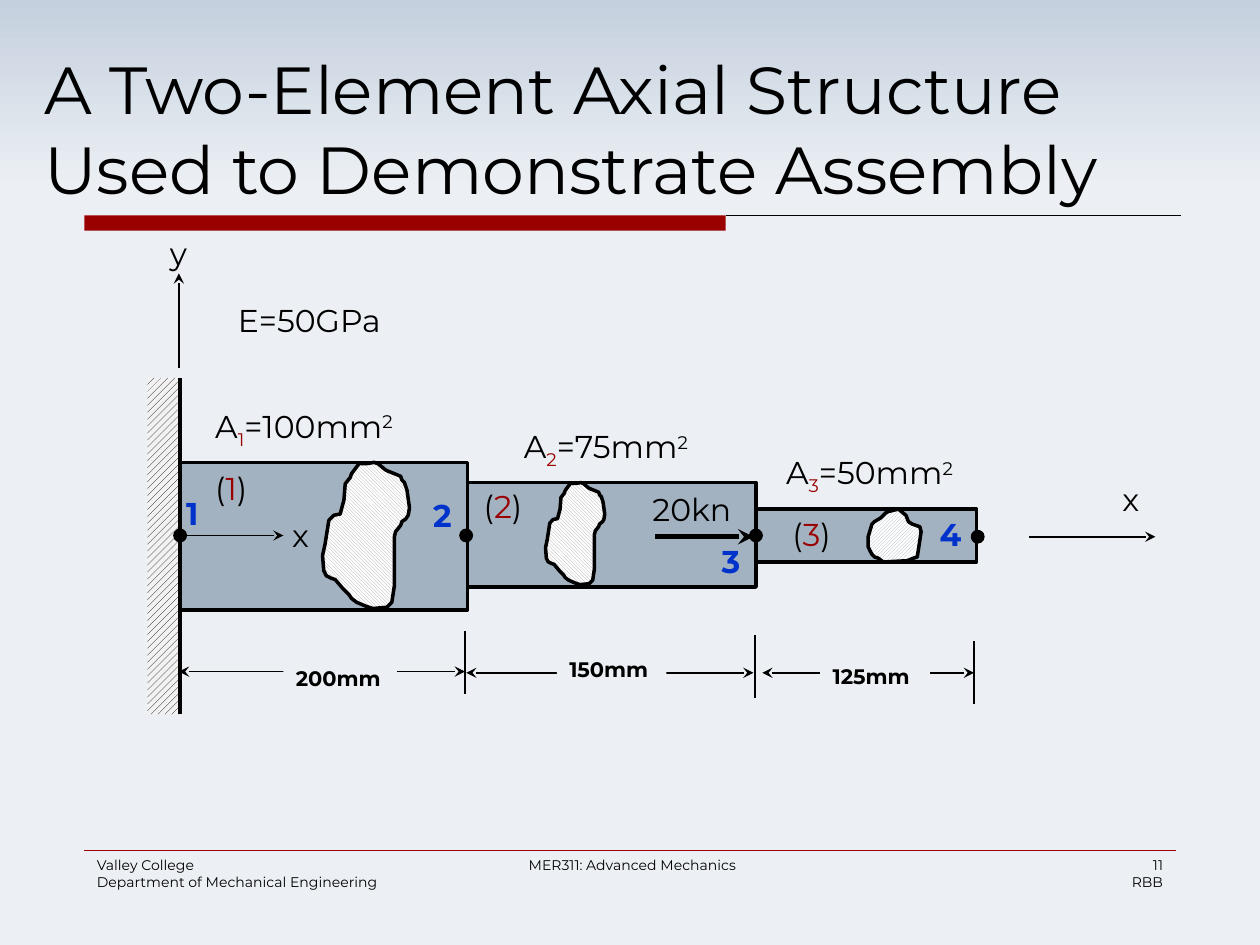
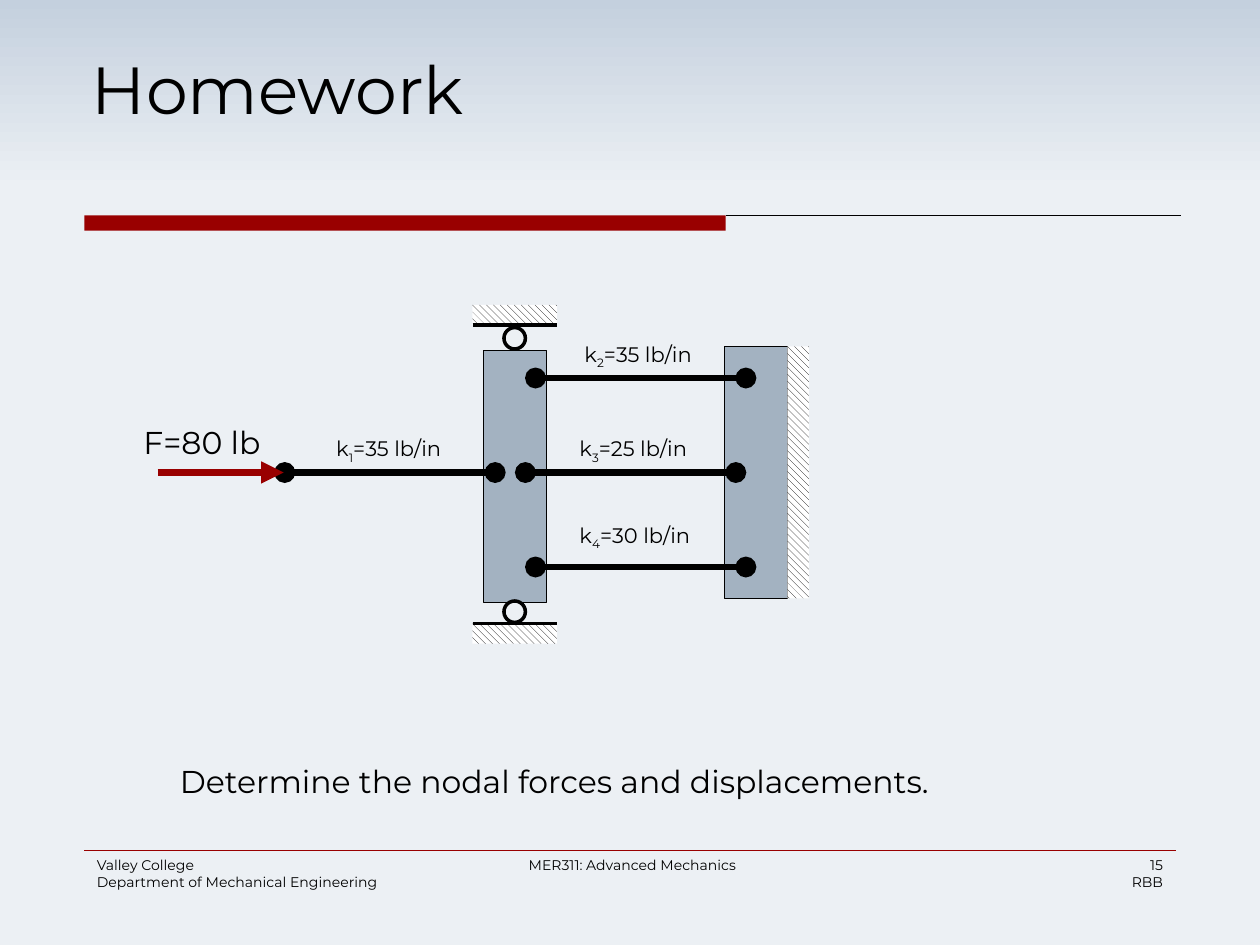
from dataclasses import dataclass
from lxml.etree import SubElement
from pptx import Presentation
from pptx.dml.color import RGBColor
from pptx.enum.dml import MSO_PATTERN
from pptx.enum.shapes import MSO_CONNECTOR, MSO_SHAPE
from pptx.enum.text import MSO_ANCHOR, MSO_AUTO_SIZE, PP_ALIGN
from pptx.oxml.ns import qn
from pptx.util import Inches, Pt


@dataclass
class Theme:
    ink: RGBColor = RGBColor(0, 0, 0)
    red: RGBColor = RGBColor(0x99, 0, 0)
    blue: RGBColor = RGBColor(0, 0x33, 0xCC)
    steel: RGBColor = RGBColor(0xA3, 0xB2, 0xC1)
    gray: RGBColor = RGBColor(0xA6, 0xA6, 0xA6)
    white: RGBColor = RGBColor(255, 255, 255)
    pale: RGBColor = RGBColor(0xF2, 0xF2, 0xF2)
    sky: RGBColor = RGBColor(0xC4, 0xD0, 0xDE)
    paper: RGBColor = RGBColor(0xEC, 0xF0, 0xF4)
    font: str = "Montserrat"
    title: int = 38
    body: int = 18
    label: int = 12
    foot: int = 8


theme = Theme()
ink, red, blue = theme.ink, theme.red, theme.blue


def write(page, box, lines, size=theme.body, bold=False, align=PP_ALIGN.LEFT):
    area = page.shapes.add_textbox(*map(Inches, box))
    frame = area.text_frame
    frame.word_wrap = True
    for row, parts in enumerate(lines):
        para = frame.paragraphs[0] if row == 0 else frame.add_paragraph()
        para.alignment = align
        for text, color, shift in parts:
            run = para.add_run()
            run.text = text
            run.font.name = theme.font
            run.font.size = Pt(size)
            run.font.bold = bold
            run.font.color.rgb = color
            if shift:
                run.font._element.set("baseline", str(shift * 1000))
    return area


def rule(page, start, end, width=1, color=ink, head=None, tail=None):
    line = page.shapes.add_connector(
        MSO_CONNECTOR.STRAIGHT, *map(Inches, start + end))
    line.line.color.rgb = color
    line.line.width = Pt(width)
    edge = line.line._get_or_add_ln()
    for tag, kind in (("a:headEnd", head), ("a:tailEnd", tail)):
        if kind:
            SubElement(edge, qn(tag), type=kind)
    SubElement(line.element.spPr, qn("a:effectLst"))


deck = Presentation()
deck.slide_width, deck.slide_height = Inches(10), Inches(7.5)
base = deck.slide_layouts[5]
for holder in list(base.placeholders)[1:]:
    base.shapes.element.remove(holder.element)
back = base.background.fill
back.gradient()
back.gradient_angle = 270
for stop, color, place in zip(back.gradient_stops, (theme.sky, theme.paper), (0, 0.2)):
    stop.color.rgb = color
    stop.position = place

pages = []
for text, left, width, number in (
        ("A Two-Element Axial Structure Used to Demonstrate Assembly", 0.25, 9.5, "11"),
        ("Homework", 0.63, 8.75, "15")):
    page = deck.slides.add_slide(base)
    pages.append(page)
    title = page.shapes.title
    title.left, title.top = Inches(left), Inches(0.33)
    title.width, title.height = Inches(width), Inches(1.33)
    frame = title.text_frame
    frame.auto_size = MSO_AUTO_SIZE.NONE
    frame.vertical_anchor = MSO_ANCHOR.TOP
    para = frame.paragraphs[0]
    para.alignment = PP_ALIGN.LEFT
    run = para.add_run()
    run.text = text
    run.font.name = theme.font
    run.font.size = Pt(theme.title)
    run.font.color.rgb = ink
    write(page, (7, 6.75, 2.33, 0.4), [[(number, ink, 0)], [("RBB", ink, 0)]],
          theme.foot, align=PP_ALIGN.RIGHT)
bar, work = pages

own = len(bar.shapes)
band = bar.shapes.add_shape(
    MSO_SHAPE.RECTANGLE, Inches(0.67), Inches(1.71), Inches(5.09), Inches(0.12))
band.shadow.inherit = False
band.fill.solid()
band.fill.fore_color.rgb = red
band.line.fill.background()
rule(bar, (5.76, 1.71), (9.37, 1.71), 0.75)
rule(bar, (0.67, 6.75), (9.33, 6.75), 0.25, red)
write(bar, (0.67, 6.75, 2.75, 0.5),
      [[("Valley College", ink, 0)],
       [("Department of Mechanical Engineering", ink, 0)]], theme.foot)
write(bar, (3.81, 6.75, 2.42, 0.24), [[("MER311: Advanced Mechanics", ink, 0)]],
      theme.foot, align=PP_ALIGN.CENTER)
for shape in list(bar.shapes)[own:]:
    base.shapes.element.append(shape.element)

for page, box, width in (
        (bar, (1.42, 3.67, 2.29, 1.17), 2),
        (bar, (3.71, 3.83, 2.29, 0.83), 2),
        (bar, (6, 4.04, 1.75, 0.42), 2),
        (work, (5.75, 2.75, 0.5, 2), 0.75),
        (work, (3.84, 2.78, 0.5, 2), 0.75)):
    block = page.shapes.add_shape(MSO_SHAPE.RECTANGLE, *map(Inches, box))
    block.shadow.inherit = False
    block.fill.solid()
    block.fill.fore_color.rgb = theme.steel
    block.line.color.rgb = ink
    block.line.width = Pt(width)

up, down = MSO_PATTERN.WIDE_UPWARD_DIAGONAL, MSO_PATTERN.WIDE_DOWNWARD_DIAGONAL
for page, box, hatch, color in (
        (bar, (1.17, 3, 0.25, 2.67), up, theme.pale),
        (work, (6.25, 2.75, 0.17, 2), down, theme.white),
        (work, (3.75, 2.42, 0.67, 0.16), down, theme.white),
        (work, (3.75, 4.95, 0.67, 0.16), down, theme.white)):
    wall = page.shapes.add_shape(MSO_SHAPE.RECTANGLE, *map(Inches, box))
    wall.shadow.inherit = False
    wall.fill.patterned()
    wall.fill.pattern = hatch
    wall.fill.fore_color.rgb = ink
    wall.fill.back_color.rgb = color
    wall.line.fill.background()

tall = [(29, 1), (23, 9), (22, 12), (18, 17), (17, 30), (14, 41), (9, 42), (5, 46),
        (2, 65), (0, 74), (1, 86), (3, 90), (7, 92), (10, 93), (16, 100), (18, 102),
        (21, 105), (23, 108), (27, 111), (34, 114), (40, 116), (51, 115), (55, 111),
        (57, 98), (57, 59), (58, 55), (62, 50), (63, 47), (66, 45), (68, 42),
        (69, 36), (67, 22), (65, 16), (63, 14), (62, 11), (57, 9), (52, 7),
        (50, 6), (44, 1), (41, 0), (35, 1)]
small = [(24, 0), (16, 2), (14, 3), (10, 7), (5, 10), (3, 12), (0, 22), (0, 30),
         (2, 34), (3, 36), (5, 38), (8, 39), (12, 42), (31, 41), (36, 39), (39, 38),
         (41, 25), (42, 18), (41, 14), (35, 12), (32, 10), (30, 5)]
fall, rise = MSO_PATTERN.LIGHT_DOWNWARD_DIAGONAL, MSO_PATTERN.LIGHT_UPWARD_DIAGONAL
for dots, left, top, wide, high, hatch, color in (
        (tall, 2.56, 3.67, 0.69, 1.16, fall, theme.gray),
        (tall, 4.33, 3.83, 0.47, 0.81, fall, theme.gray),
        (small, 6.89, 4.04, 0.42, 0.42, rise, theme.steel)):
    span = max(x for x, y in dots)
    rows = max(y for x, y in dots)
    points = [(Inches(left + x * wide / span), Inches(top + y * high / rows))
              for x, y in dots]
    pen = bar.shapes.build_freeform(*points[0])
    pen.add_line_segments(points[1:])
    hole = pen.convert_to_shape()
    hole.shadow.inherit = False
    hole.fill.patterned()
    hole.fill.pattern = hatch
    hole.fill.fore_color.rgb = color
    hole.fill.back_color.rgb = theme.white
    hole.line.color.rgb = ink
    hole.line.width = Pt(2)

rule(bar, (1.43, 3), (1.43, 5.67), 2)
rule(bar, (1.42, 2.92), (1.42, 2.17), tail="stealth")
rule(bar, (1.42, 4.25), (2.25, 4.25), tail="stealth")
rule(bar, (8.17, 4.26), (9.17, 4.26), tail="stealth")
rule(bar, (5.2, 4.26), (5.98, 4.26), 3, tail="stealth")
for x, y in ((3.69, 5.01), (5.99, 5.04), (7.73, 5.09)):
    rule(bar, (x, y), (x, y + 0.5))
for left, right, y in ((1.42, 3.69, 5.33), (3.7, 5.98, 5.34), (6.05, 7.73, 5.34)):
    rule(bar, (left, y), (right, y), head="stealth", tail="stealth")

for page, x, y, size, full in (
        (bar, 1.38, 4.2, 0.1, True), (bar, 3.65, 4.2, 0.1, True),
        (bar, 5.95, 4.2, 0.1, True), (bar, 7.71, 4.21, 0.1, True),
        (work, 4, 2.6, 0.17, False), (work, 4, 4.77, 0.17, False)):
    disc = page.shapes.add_shape(
        MSO_SHAPE.OVAL, Inches(x), Inches(y), Inches(size), Inches(size))
    disc.shadow.inherit = False
    disc.line.color.rgb = ink
    disc.line.width = Pt(0.75 if full else 2)
    if full:
        disc.fill.solid()
        disc.fill.fore_color.rgb = ink
    else:
        disc.fill.background()

for text, x, y, width in (
        ("200mm", 2.25, 5.23, 0.9), ("150mm", 4.42, 5.16, 0.87),
        ("125mm", 6.51, 5.22, 0.87)):
    size = write(bar, (x, y, width, 0.3), [[(text, ink, 0)]], theme.label, True)
    size.fill.solid()
    size.fill.fore_color.rgb = theme.paper
for text, x, y in (("1", 1.38, 3.87), ("2", 3.34, 3.89), ("3", 5.63, 4.25), ("4", 7.36, 4.04)):
    write(bar, (x, y, 0.37, 0.4), [[(text, blue, 0)]], bold=True)
for text, x, y in (("1", 1.61, 3.67), ("2", 3.74, 3.82), ("3", 6.19, 4.04)):
    write(bar, (x, y, 0.58, 0.4), [[("(", ink, 0), (text, red, 0), (")", ink, 0)]])
for text, value, x, y, width in (
        ("1", "=100mm", 1.61, 3.18, 1.8), ("2", "=75mm", 4.06, 3.34, 1.63),
        ("3", "=50mm", 6.14, 3.55, 1.63)):
    write(bar, (x, y, width, 0.4),
          [[("A", ink, 0), (text, red, -25), (value, ink, 0), ("2", ink, 30)]])
for page, text, x, y, width in (
        (bar, "x", 2.22, 4.05, 0.36), (bar, "y", 1.25, 1.81, 0.36),
        (bar, "x", 8.81, 3.76, 0.37), (bar, "20kn", 5.08, 3.84, 0.88),
        (bar, "E=50GPa", 1.79, 2.34, 1.44), (work, "F=80 lb", 1.04, 3.31, 1.21),
        (work, "Determine the nodal forces and displacements.", 1.33, 6, 6.75)):
    write(page, (x, y, width, 0.4), [[(text, ink, 0)]])

for y in (2.58, 4.95):
    rule(work, (3.75, y), (4.42, y), 2)
for text, value, left, y, x, top in (
        ("1", "=35 lb/in", 2.26, 3.75, 2.57, 3.41),
        ("2", "=35 lb/in", 4.25, 3, 4.54, 2.66),
        ("3", "=25 lb/in", 4.17, 3.75, 4.5, 3.41),
        ("4", "=30 lb/in", 4.25, 4.5, 4.5, 4.1)):
    rule(work, (left + 1.67, y), (left, y), 4, head="oval", tail="oval")
    write(work, (x, top, 1.19, 0.3),
          [[("k", ink, 0), (text, ink, -25), (value, ink, 0)]], theme.label)
rule(work, (1.25, 3.75), (2.25, 3.75), 4.25, red, tail="triangle")

deck.save("out.pptx")
